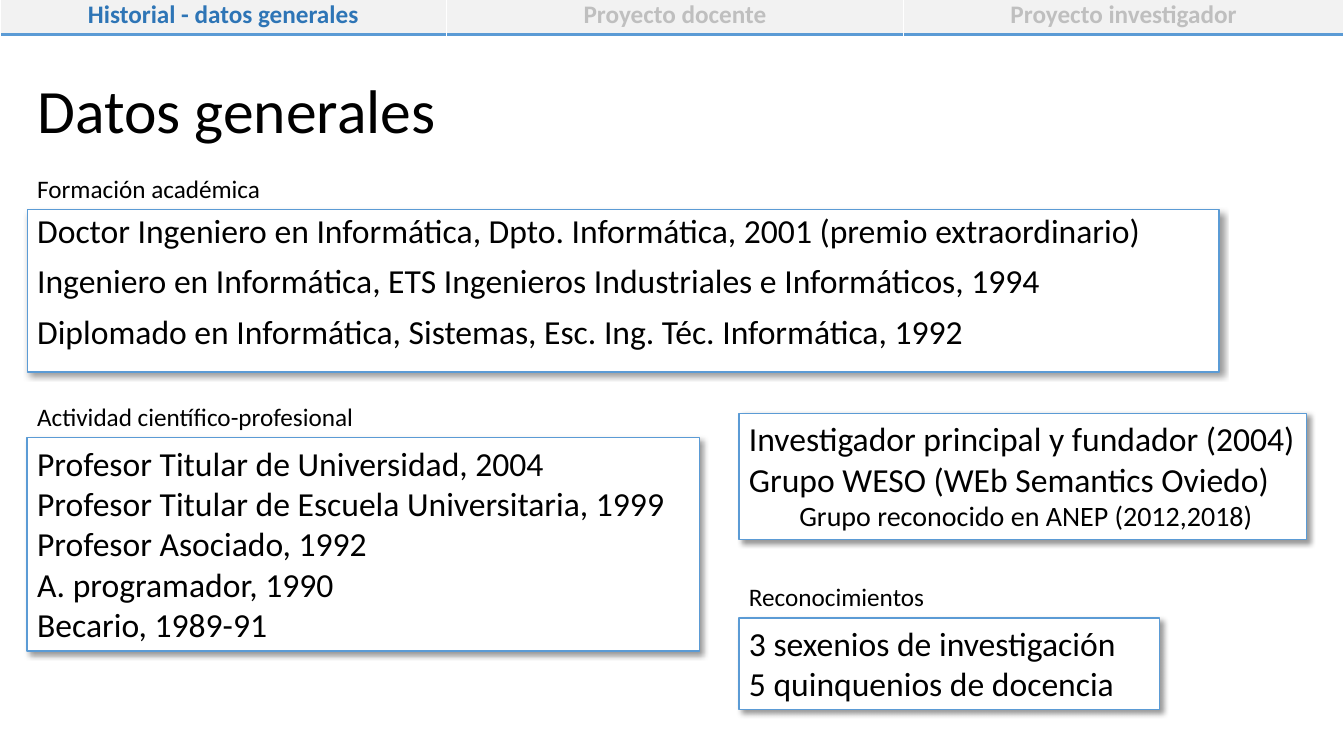
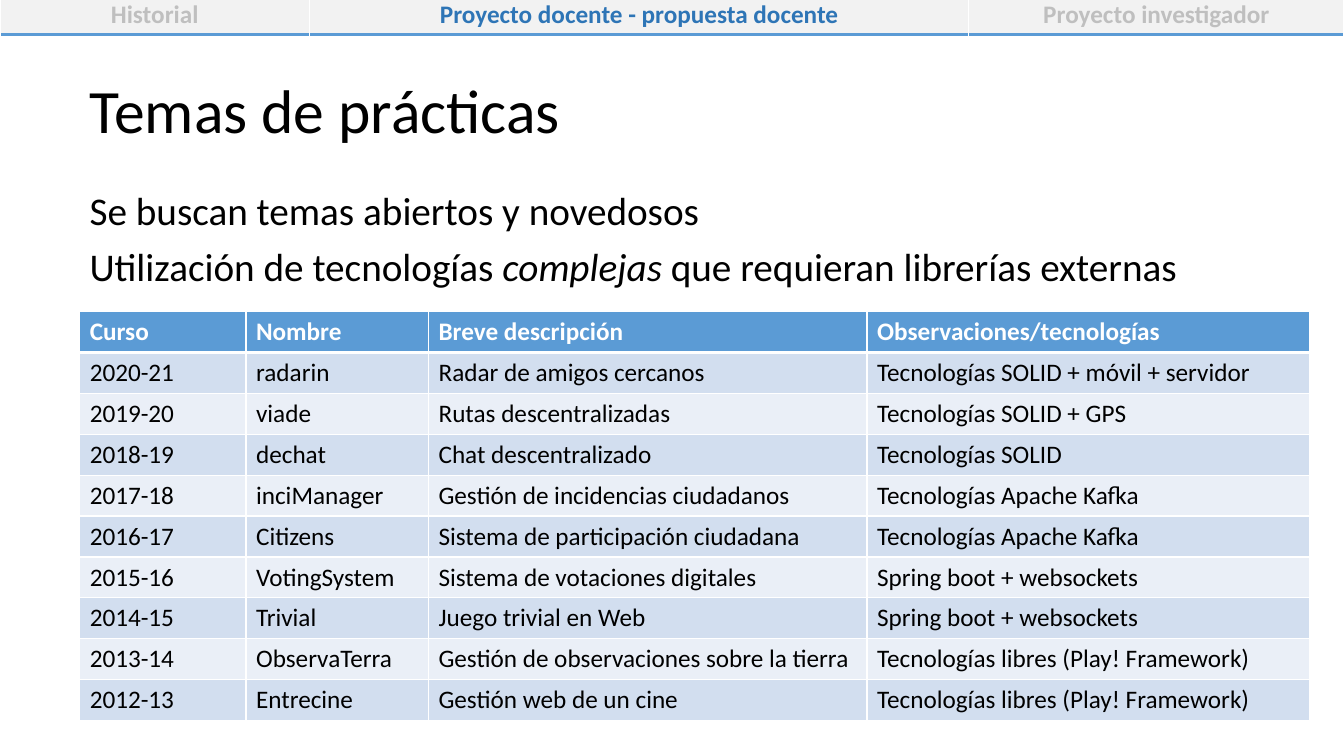
from lxml.etree import SubElement
from pptx import Presentation
from pptx.dml.color import RGBColor as Rgb
from pptx.enum.shapes import MSO_SHAPE as Preset
from pptx.enum.text import MSO_ANCHOR as Anchor, MSO_AUTO_SIZE as AutoSize, PP_ALIGN as Align
from pptx.oxml.ns import qn
from pptx.util import Inches, Pt

FONT = "Calibri"
COLORS = {
    "text": "000000",
    "white": "FFFFFF",
    "accent": "5B9BD5",
    "active": "2E75B6",
    "inactive": "BFBFBF",
    "nav": "F2F2F2",
    "band_dark": "D2DEEF",
    "band_light": "EAEFF7",
}
TITLE_ONLY = 5

THEMES = [
    ("Curso", "Nombre", "Breve descripción", "Observaciones/tecnologías"),
    ("2020-21", "radarin", "Radar de amigos cercanos", "Tecnologías SOLID + móvil + servidor"),
    ("2019-20", "viade", "Rutas descentralizadas", "Tecnologías SOLID + GPS"),
    ("2018-19", "dechat", "Chat descentralizado", "Tecnologías SOLID"),
    ("2017-18", "inciManager", "Gestión de incidencias ciudadanos", "Tecnologías Apache Kafka"),
    ("2016-17", "Citizens", "Sistema de participación ciudadana", "Tecnologías Apache Kafka"),
    ("2015-16", "VotingSystem", "Sistema de votaciones digitales", "Spring boot + websockets"),
    ("2014-15", "Trivial", "Juego trivial en Web", "Spring boot + websockets"),
    ("2013-14", "ObservaTerra", "Gestión de observaciones sobre la tierra",
     "Tecnologías libres (Play! Framework)"),
    ("2012-13", "Entrecine", "Gestión web de un cine", "Tecnologías libres (Play! Framework)"),
]


def color(name):
    return Rgb.from_string(COLORS[name])


def style(paragraph, size, tone="text", bold=False, align=Align.LEFT):
    paragraph.alignment = align
    font = paragraph.font
    font.name, font.size, font.bold = FONT, Pt(size), bold
    font.color.rgb = color(tone)


def write_lines(frame, lines, size, line_spacing=1.0, gap=0):
    frame.word_wrap = True
    frame.vertical_anchor = Anchor.TOP
    for index, line in enumerate(lines):
        paragraph = frame.paragraphs[0] if index == 0 else frame.add_paragraph()
        paragraph.text = line
        paragraph.line_spacing = line_spacing
        paragraph.space_before = Pt(gap if index else 0)
        style(paragraph, size)
    return frame.paragraphs


def add_title(slide, text, left, width):
    title = slide.shapes.title
    title.left, title.top = Inches(left), Inches(0.4)
    title.width, title.height = Inches(width), Inches(1.45)
    frame = title.text_frame
    write_lines(frame, [text], 44, 0.9)
    frame.vertical_anchor = Anchor.MIDDLE
    frame.auto_size = AutoSize.NONE


def add_text(slide, box, lines, size, **spacing):
    text = slide.shapes.add_textbox(*map(Inches, box))
    return write_lines(text.text_frame, lines, size, **spacing)


def add_shadow(shape):
    shape.shadow.inherit = False
    effects = shape._element.spPr.find(qn("a:effectLst"))
    outer = SubElement(effects, qn("a:outerShdw"), blurRad=str(Pt(4)), dist=str(Pt(3)),
                       dir="2700000", algn="tl", rotWithShape="0")
    tone = SubElement(outer, qn("a:srgbClr"), val=COLORS["text"])
    SubElement(tone, qn("a:alpha"), val="40000")


def add_card(slide, box, lines, heading=None, **spacing):
    left, top, width, height = box
    if heading:
        add_text(slide, (left, top - 0.41, width, 0.4), [heading], 18)
    card = slide.shapes.add_shape(Preset.RECTANGLE, *map(Inches, box))
    card.fill.solid()
    card.fill.fore_color.rgb = color("white")
    card.line.color.rgb = color("accent")
    card.line.width = Pt(1)
    add_shadow(card)
    return write_lines(card.text_frame, lines, 24, **spacing)


def set_borders(cell, **borders):
    properties = cell._tc.get_or_add_tcPr()
    for side in "LRTB":
        if side in borders:
            tone, width = borders[side]
            line = SubElement(properties, qn(f"a:ln{side}"), w=str(Pt(width)))
            fill = SubElement(line, qn("a:solidFill"))
            SubElement(fill, qn("a:srgbClr"), val=COLORS[tone])


def add_grid(slide, left, top, column_widths, row_height, rows):
    table = slide.shapes.add_table(
        len(rows), len(column_widths), Inches(left), Inches(top),
        Inches(sum(column_widths)), Inches(row_height * len(rows))).table
    table.horz_banding = False
    for column, width in zip(table.columns, column_widths):
        column.width = Inches(width)
    for row, texts in zip(table.rows, rows):
        row.height = Inches(row_height)
        for cell, text in zip(row.cells, texts):
            cell.text = text
    return table


def finish_cell(cell, background, borders, **text_style):
    set_borders(cell, **borders)
    cell.fill.solid()
    cell.fill.fore_color.rgb = color(background)
    style(cell.text_frame.paragraphs[0], 18, **text_style)


def add_navigation(slide, sections, active, column_widths):
    table = add_grid(slide, 0, -0.06, column_widths, 0.4, [sections])
    table.first_row = False
    borders = {"L": ("white", 1), "R": ("white", 1), "B": ("accent", 2.25)}
    for index, cell in enumerate(table.rows[0].cells):
        finish_cell(cell, "nav", borders, bold=True, align=Align.CENTER,
                    tone="active" if index == active else "inactive")


def add_themes(slide, left, top):
    table = add_grid(slide, left, top, (1.65, 1.81, 4.35, 4.39), 0.406, THEMES)
    for index, row in enumerate(table.rows):
        header = index == 0
        background = "accent" if header else "band_dark" if index % 2 else "band_light"
        borders = dict.fromkeys("LRTB", ("white", 1))
        if header:
            borders["B"] = ("white", 3)
        elif index == 1:
            borders["T"] = ("white", 3)
        for cell in row.cells:
            finish_cell(cell, background, borders, bold=header,
                        tone="white" if header else "text")


def build_general_data(slide):
    left, right = 0.27, 7.33
    add_title(slide, "Datos generales", left, 12.15)
    add_card(slide, (left, 2.08, 11.82, 1.61), [
        "Doctor Ingeniero en Informática, Dpto. Informática, 2001 (premio extraordinario)",
        "Ingeniero en Informática, ETS Ingenieros Industriales e Informáticos, 1994",
        "Diplomado en Informática, Sistemas, Esc. Ing. Téc. Informática, 1992",
    ], "Formación académica", line_spacing=0.9, gap=10)
    add_card(slide, (left, 4.34, 6.67, 2.12), [
        "Profesor Titular de Universidad, 2004",
        "Profesor Titular de Escuela Universitaria, 1999",
        "Profesor Asociado, 1992",
        "A. programador, 1990",
        "Becario, 1989-91",
    ], "Actividad científico-profesional")
    add_card(slide, (right, 6.13, 4.17, 0.91), [
        "3 sexenios de investigación",
        "5 quinquenios de docencia",
    ], "Reconocimientos")
    group = add_card(slide, (right, 4.1, 5.63, 1.25), [
        "Investigador principal y fundador (2004)",
        "Grupo WESO (WEb Semantics Oviedo)",
        "Grupo reconocido en ANEP (2012,2018)",
    ])
    recognition = group[-1]
    recognition.level = 1
    recognition._p.get_or_add_pPr().set("marL", str(Inches(0.5)))
    recognition.font.size = Pt(20)
    add_navigation(slide, ("Historial - datos generales", "Proyecto docente",
                           "Proyecto investigador"), 0, (4.43, 4.53, 4.37))


def build_practice_themes(slide):
    left = 0.79
    add_title(slide, "Temas de prácticas", left, 11.63)
    add_themes(slide, left, 3.09)
    add_navigation(slide, ("Historial", "Proyecto docente - propuesta docente",
                           "Proyecto investigador"), 1, (3.07, 6.54, 3.72))
    goals = add_text(slide, (left, 1.85, 11.5, 1.24), [
        "Se buscan temas abiertos y novedosos",
        "Utilización de tecnologías ",
    ], 28, line_spacing=0.9, gap=10)
    emphasis = goals[-1].add_run()
    emphasis.text = "complejas "
    emphasis.font.italic = True
    goals[-1].add_run().text = "que requieran librerías externas"


def main():
    deck = Presentation()
    deck.slide_width, deck.slide_height = Inches(13.33), Inches(7.5)
    for build in (build_general_data, build_practice_themes):
        build(deck.slides.add_slide(deck.slide_layouts[TITLE_ONLY]))
    deck.save("out.pptx")


if __name__ == "__main__":
    main()
